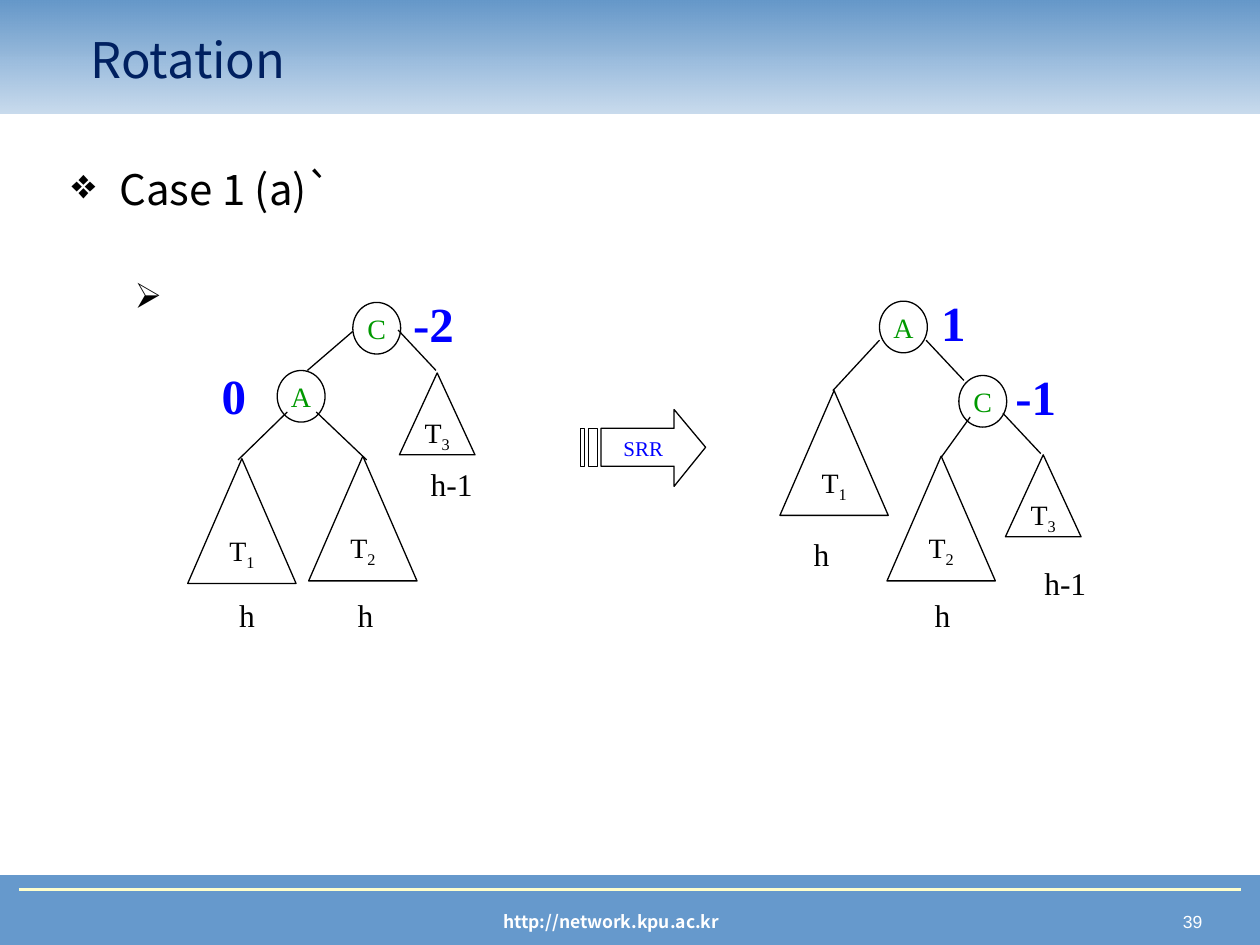
"""Build the AVL single right rotation slide."""

from typing import Any, NamedTuple, Optional

import pptx
import pptx.dml.color
import pptx.enum.shapes
import pptx.enum.text
import pptx.oxml.xmlchemy
import pptx.util

Inches = pptx.util.Inches
Pt = pptx.util.Pt
Shape = pptx.enum.shapes.MSO_SHAPE
Align = pptx.enum.text.PP_ALIGN
Anchor = pptx.enum.text.MSO_ANCHOR

COLORS = {
    "band": "6699CC",
    "band_top": "6497C9",
    "rule": "FFFFCC",
    "title": "002060",
    "text": "000000",
    "node": "009900",
    "accent": "0000FF",
    "white": "FFFFFF",
}
SANS, SERIF, NUMBER = "Noto Sans CJK KR", "Times New Roman", "Arial"


class Box(NamedTuple):
    left: float
    top: float
    width: float
    height: float


class Style(NamedTuple):
    size: float
    color: str
    font: str = SERIF
    bold: bool = False
    align: Any = Align.LEFT


class Node(NamedTuple):
    key: str
    left: float
    top: float


class Subtree(NamedTuple):
    index: str
    left: float
    top: float
    small: bool = False


class Edge(NamedTuple):
    start_x: float
    start_y: float
    end_x: float
    end_y: float


class Label(NamedTuple):
    text: str
    left: float
    top: float


class Tree(NamedTuple):
    nodes: list[Node]
    subtrees: list[Subtree]
    edges: list[Edge]
    balances: list[Label]
    heights: list[Label]


NODE_STYLE = Style(16, "node", align=Align.CENTER)
SUBTREE_STYLE = Style(16, "text", align=Align.CENTER)
BALANCE_STYLE = Style(28, "accent", bold=True)
HEIGHT_STYLE = Style(18, "text")

TREES = [
    Tree(
        nodes=[Node("C", 2.8, 2.4), Node("A", 2.2, 2.94)],
        subtrees=[Subtree("1", 1.49, 3.64), Subtree("2", 2.45, 3.62), Subtree("3", 3.17, 2.96, True)],
        edges=[
            Edge(2.44, 2.94, 2.8, 2.63),
            Edge(3.46, 2.94, 3.16, 2.62),
            Edge(1.89, 3.65, 2.28, 3.27),
            Edge(2.91, 3.65, 2.51, 3.27),
        ],
        balances=[Label("-2", 3.18, 2.28), Label("0", 1.66, 2.85)],
        heights=[Label("h", 1.8, 4.68), Label("h", 2.74, 4.68), Label("h-1", 3.32, 3.64)],
    ),
    Tree(
        nodes=[Node("A", 6.98, 2.39), Node("C", 7.61, 2.98)],
        subtrees=[Subtree("1", 6.19, 3.1), Subtree("2", 7.04, 3.62), Subtree("3", 7.98, 3.61, True)],
        edges=[
            Edge(6.61, 3.1, 6.98, 2.7),
            Edge(7.65, 3.02, 7.35, 2.7),
            Edge(7.47, 3.63, 7.7, 3.31),
            Edge(8.26, 3.6, 7.96, 3.28),
        ],
        balances=[Label("1", 7.37, 2.27), Label("-1", 7.96, 2.86)],
        heights=[Label("h", 6.36, 4.2), Label("h", 7.32, 4.68), Label("h-1", 8.19, 4.43)],
    ),
]


def rgb(name: str) -> pptx.dml.color.RGBColor:
    return pptx.dml.color.RGBColor.from_string(COLORS[name])


def add_element(parent: Any, tag: str, **attributes: str) -> Any:
    element = pptx.oxml.xmlchemy.OxmlElement(tag)
    for name, value in attributes.items():
        element.set(name, value)
    parent.append(element)
    return element


def format_paragraph(paragraph: Any, style: Style) -> None:
    paragraph.alignment = style.align
    for run in paragraph.runs:
        run.font.size = Pt(style.size)
        run.font.name = style.font
        run.font.bold = style.bold
        run.font.color.rgb = rgb(style.color)
        add_element(run.font._element, "a:ea", typeface=style.font)


def add_text(slide: Any, box: Box, text: str, style: Style, wrap: bool = False) -> None:
    shape = slide.shapes.add_textbox(*map(Inches, box))
    shape.text_frame.word_wrap = wrap
    shape.text_frame.text = text
    format_paragraph(shape.text_frame.paragraphs[0], style)


def format_shape(shape: Any, fill: Optional[str], line: Optional[str]) -> None:
    shape.shadow.inherit = False
    if fill:
        shape.fill.solid()
        shape.fill.fore_color.rgb = rgb(fill)
    else:
        shape.fill.background()
    if line:
        shape.line.color.rgb = rgb(line)
        shape.line.width = Pt(0.75)
    else:
        shape.line.fill.background()


def add_shape(slide: Any, kind: Any, box: Box, fill: Optional[str] = None, line: Optional[str] = "text") -> Any:
    shape = slide.shapes.add_shape(kind, *map(Inches, box))
    format_shape(shape, fill, line)
    return shape


def add_line(slide: Any, edge: Edge, color: str = "text", width: float = 0.75) -> None:
    connector = slide.shapes.add_connector(pptx.enum.shapes.MSO_CONNECTOR.STRAIGHT, *map(Inches, edge))
    connector.line.color.rgb = rgb(color)
    connector.line.width = Pt(width)
    add_element(connector._element.spPr, "a:effectLst")


def write_centered(shape: Any, text: str, style: Style, subscript: str = "", wrap: bool = False) -> None:
    frame = shape.text_frame
    frame.word_wrap = wrap
    frame.vertical_anchor = Anchor.MIDDLE
    frame.text = text
    paragraph = frame.paragraphs[0]
    if subscript:
        run = paragraph.add_run()
        run.text = subscript
        run.font._element.set("baseline", "-25000")
    format_paragraph(paragraph, style)


def draw_tree(slide: Any, tree: Tree) -> None:
    for edge in tree.edges:
        add_line(slide, edge)
    for node in tree.nodes:
        shape = add_shape(slide, Shape.OVAL, Box(node.left, node.top, 0.38, 0.41))
        write_centered(shape, node.key, NODE_STYLE)
    for subtree in tree.subtrees:
        size = (0.6, 0.65) if subtree.small else (0.86, 0.99)
        shape = add_shape(slide, Shape.ISOSCELES_TRIANGLE, Box(subtree.left, subtree.top, *size))
        write_centered(shape, "T", SUBTREE_STYLE, subtree.index)
    for label in tree.balances:
        width = 0.26 + 0.13 * len(label.text)
        add_text(slide, Box(label.left, label.top, width, 0.57), label.text, BALANCE_STYLE)
    for label in tree.heights:
        width = 0.2 + 0.12 * len(label.text)
        add_text(slide, Box(label.left, label.top, width, 0.4), label.text, HEIGHT_STYLE)


def draw_rotation_arrow(slide: Any) -> None:
    builder = slide.shapes.build_freeform(535, 325, scale=Inches(0.01))
    builder.add_line_segments([(535, 340), (477, 340), (477, 370), (535, 370), (535, 386), (560, 355)])
    for left, right in ((467, 474), (461, 464)):
        builder.move_to(left, 340)
        builder.add_line_segments([(left, 370), (right, 370), (right, 340)])
    arrow = builder.convert_to_shape()
    format_shape(arrow, "white", "text")
    write_centered(arrow, "SRR", Style(12, "accent", align=Align.CENTER), wrap=True)


def draw_frame(slide: Any) -> None:
    add_shape(slide, Shape.RECTANGLE, Box(0, 6.95, 10, 0.55), "band", "band")
    add_line(slide, Edge(0.15, 7.06, 9.85, 7.06), "rule", 1.5)
    add_text(slide, Box(7.42, 7.18, 2.22, 0.27), "39", Style(10, "white", NUMBER, align=Align.RIGHT), True)
    address_style = Style(10, "white", SANS, True, Align.CENTER)
    add_text(slide, Box(2.27, 7.18, 5.16, 0.27), "http://network.kpu.ac.kr", address_style, True)
    header = add_shape(slide, Shape.RECTANGLE, Box(0, 0, 10, 0.9), line=None)
    header.fill.gradient()
    header.fill.gradient_angle = 90
    for stop, color in zip(header.fill.gradient_stops, ("band", "band_top")):
        stop.color.rgb = rgb(color)
    add_element(header.fill.gradient_stops[0]._gs[0], "a:alpha", val="35000")


def write_title(slide: Any) -> None:
    title = slide.shapes.title
    title.left, title.top, title.width, title.height = map(Inches, (0.62, 0.16, 8.44, 0.62))
    title.text_frame.text = "Rotation"
    title.text_frame.auto_size = pptx.enum.text.MSO_AUTO_SIZE.NONE
    title.text_frame.vertical_anchor = Anchor.MIDDLE
    format_paragraph(title.text_frame.paragraphs[0], Style(28, "title", SANS))
    tree = slide.shapes._spTree
    tree.remove(title._element)
    tree.append(title._element)


def write_body(slide: Any) -> None:
    frame = slide.shapes.add_textbox(*map(Inches, (0.47, 1.25, 6.3, 5))).text_frame
    frame.word_wrap = True
    frame.text = "Case 1 (a)`\n "
    bullets = (("❖", 0.38, 0.38, 24, 0), ("➢", 0.81, 0.31, 20, 37))
    for level, (paragraph, bullet) in enumerate(zip(frame.paragraphs, bullets)):
        symbol, margin, hanging, size, space = bullet
        paragraph.level = level
        paragraph.space_before = Pt(space)
        properties = paragraph._p.get_or_add_pPr()
        properties.set("marL", str(Inches(margin)))
        properties.set("indent", str(-Inches(hanging)))
        add_element(add_element(properties, "a:buClr"), "a:srgbClr", val=COLORS["text"])
        add_element(properties, "a:buChar", char=symbol)
        format_paragraph(paragraph, Style(size, "text", SANS))


def main() -> None:
    presentation = pptx.Presentation()
    presentation.slide_width, presentation.slide_height = Inches(10), Inches(7.5)
    slide = presentation.slides.add_slide(presentation.slide_layouts[5])
    draw_frame(slide)
    write_title(slide)
    write_body(slide)
    for tree in TREES:
        draw_tree(slide, tree)
    draw_rotation_arrow(slide)
    presentation.save("out.pptx")


if __name__ == "__main__":
    main()
